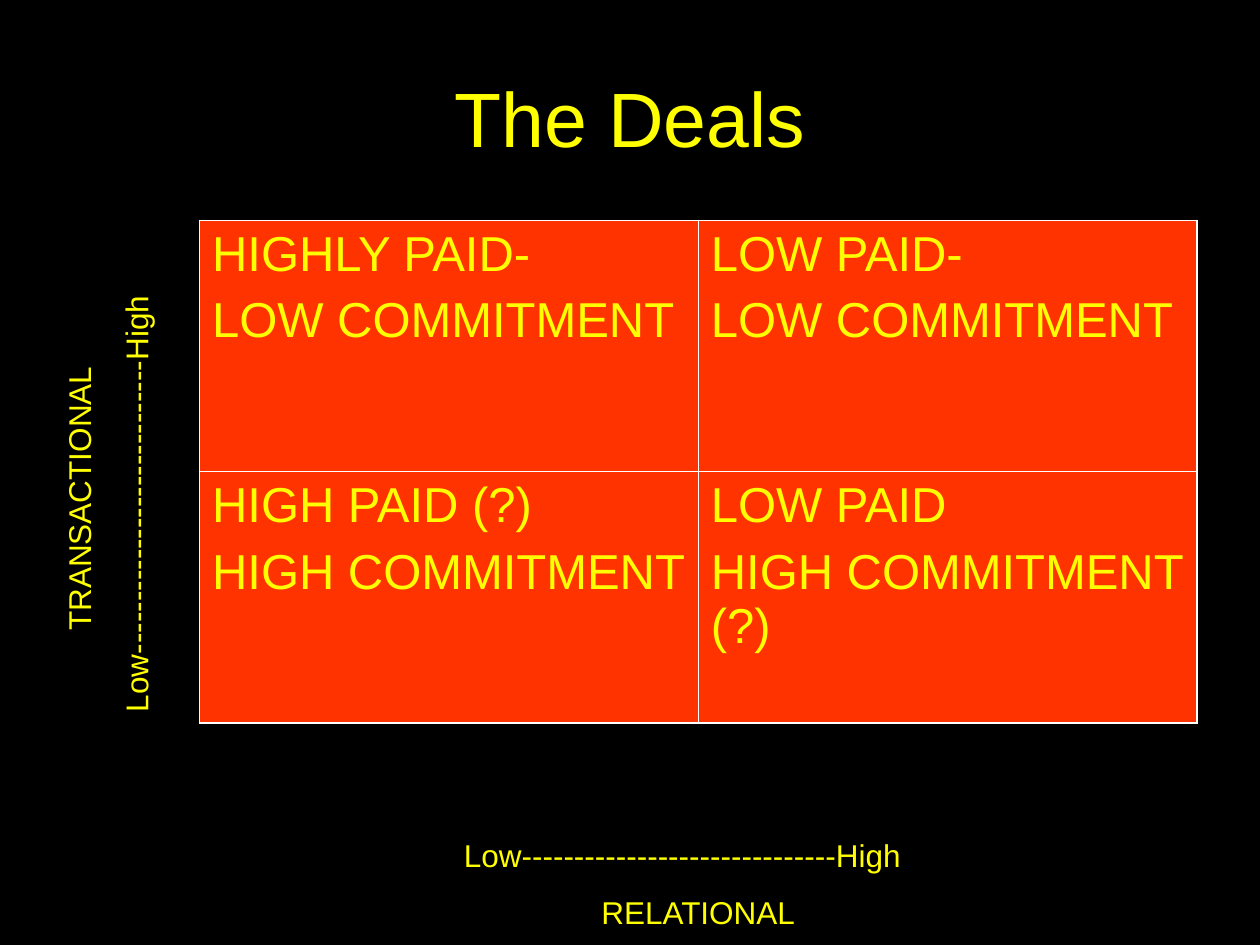
from lxml.etree import SubElement
from pptx import Presentation
from pptx.dml.color import RGBColor
from pptx.enum.text import MSO_ANCHOR, PP_ALIGN
from pptx.oxml.ns import qn
from pptx.util import Pt

YELLOW, RED, WHITE, BLACK = "FFFF00", "FF3300", "FFFFFF", "000000"
LEFT, CENTER = PP_ALIGN.LEFT, PP_ALIGN.CENTER
DEALS = [
    [["HIGHLY PAID-", "LOW COMMITMENT"], ["LOW PAID-", "LOW COMMITMENT"]],
    [["HIGH PAID (?)", "HIGH COMMITMENT"], ["LOW PAID", "HIGH COMMITMENT (?)"]],
]


def color(value):
    return RGBColor.from_string(value)


def fill_text(tf, lines, size, gap=0):
    tf.word_wrap = True
    for i, (text, align) in enumerate(lines):
        p = tf.paragraphs[0] if i == 0 else tf.add_paragraph()
        p.alignment = align
        if i:
            p.space_before = Pt(gap)
        r = p.add_run()
        r.text = text
        for name, value in {"name": "Arial", "size": Pt(size)}.items():
            setattr(r.font, name, value)
        r.font.color.rgb = color(YELLOW)


def add_text(s, box, lines, size, gap=0, anchor=MSO_ANCHOR.TOP, rotation=0):
    sp = s.shapes.add_textbox(*map(Pt, box))
    sp.rotation = rotation
    sp.text_frame.vertical_anchor = anchor
    fill_text(sp.text_frame, lines, size, gap)


def add_border(cell, side, width):
    ln = SubElement(cell._tc.get_or_add_tcPr(), qn(f"a:ln{side}"), w=str(Pt(width)))
    fill = SubElement(ln, qn("a:solidFill"))
    SubElement(fill, qn("a:srgbClr"), val=WHITE)


def add_matrix(s, box, deals, outer=1.08, inner=0.45):
    rows, cols = len(deals), len(deals[0])
    table = s.shapes.add_table(rows, cols, *map(Pt, box)).table
    for row in table.rows:
        row.height = Pt(box[3] / rows)
    for i, row in enumerate(deals):
        for j, lines in enumerate(row):
            cell = table.cell(i, j)
            edges = {"L": j == 0, "R": j == cols - 1, "T": i == 0, "B": i == rows - 1}
            for side, is_outer in edges.items():
                add_border(cell, side, outer if is_outer else inner)
            cell.fill.solid()
            cell.fill.fore_color.rgb = color(RED)
            fill_text(cell.text_frame, [(line, LEFT) for line in lines], 28, 7)


def main():
    prs = Presentation()
    prs.slide_width, prs.slide_height = Pt(720), Pt(540)
    s = prs.slides.add_slide(prs.slide_layouts[6])
    s.background.fill.solid()
    s.background.fill.fore_color.rgb = color(BLACK)
    add_text(s, (36, 21.6, 648, 90), [("The Deals", CENTER)], 44,
             anchor=MSO_ANCHOR.MIDDLE)
    add_matrix(s, (114, 126, 570, 287), DEALS)
    add_text(s, (258, 474, 282, 62),
             [("Low" + "-" * 30 + "High", LEFT), ("RELATIONAL", CENTER)], 18, 11.2)
    add_text(s, (-67.5, 254, 258, 62),
             [("TRANSACTIONAL", CENTER), ("Low" + "-" * 28 + "High", LEFT)], 18, 11.2,
             rotation=270)
    prs.save("out.pptx")


if __name__ == "__main__":
    main()
